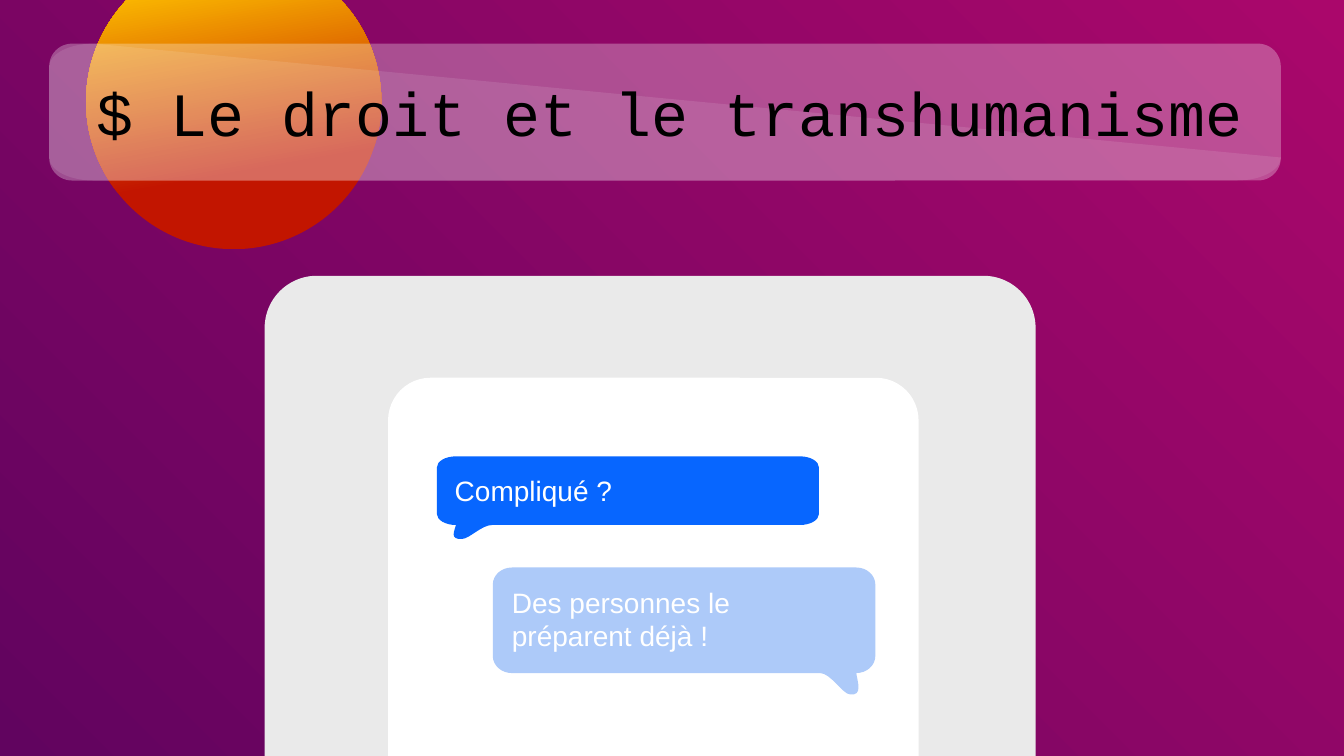
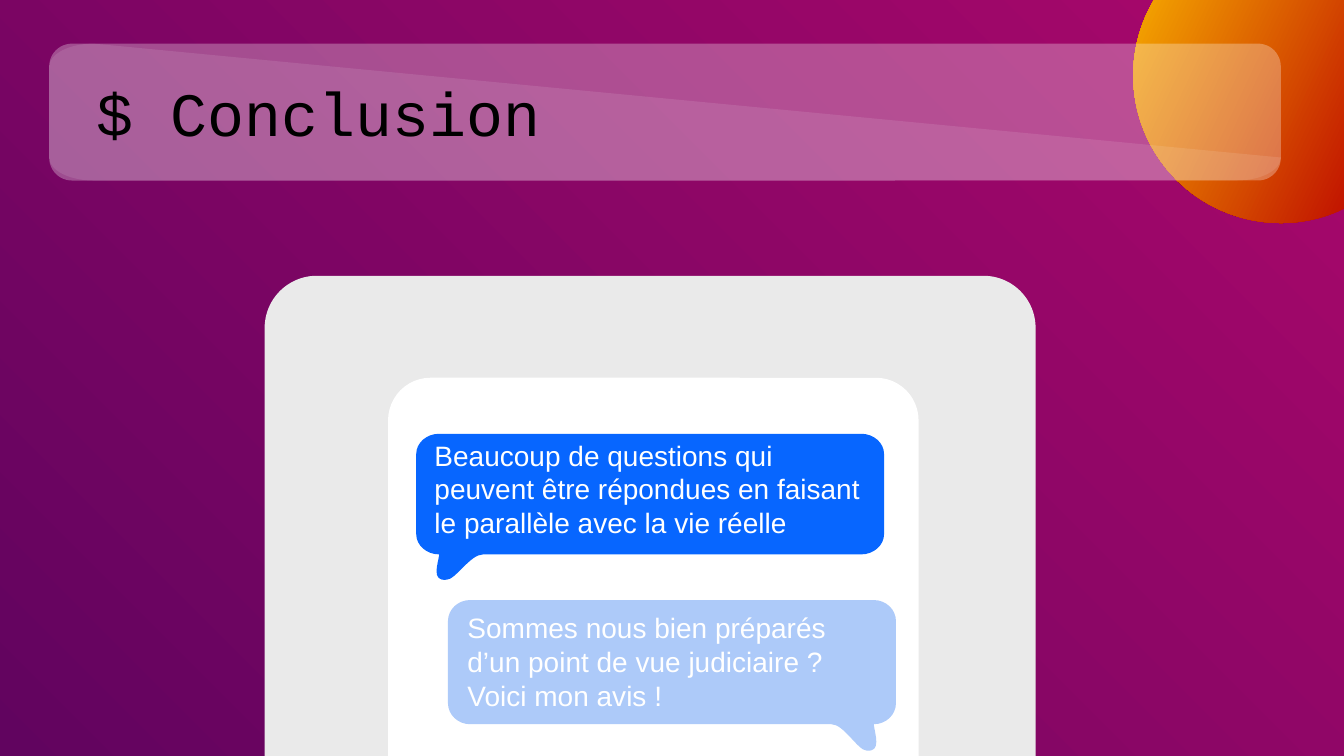
import dataclasses
import typing

import lxml.etree
import pptx
import pptx.dml.color
import pptx.dml.fill
import pptx.enum.shapes
import pptx.enum.text
import pptx.oxml.ns
import pptx.presentation
import pptx.shapes.autoshape
import pptx.slide
import pptx.util

Cm = pptx.util.Cm
RGBColor = pptx.dml.color.RGBColor
PresetShape = pptx.enum.shapes.MSO_SHAPE
qualified_name = pptx.oxml.ns.qn

PINK = RGBColor(0xAA, 0x07, 0x6B)
PURPLE = RGBColor(0x61, 0x04, 0x5F)
RED = RGBColor(0xC2, 0x15, 0x00)
YELLOW = RGBColor(0xFF, 0xC5, 0x00)
WHITE = RGBColor(0xFF, 0xFF, 0xFF)
BLACK = RGBColor(0x00, 0x00, 0x00)
GREY = RGBColor(0xEA, 0xEA, 0xEA)
BLUE = RGBColor(0x07, 0x66, 0xFF)
PALE_BLUE = RGBColor(0xAD, 0xCA, 0xF9)

CONTROL = 0.45

Point = tuple[float, float]
Segment = tuple[Point, ...]


class Box(typing.NamedTuple):
    left: float
    top: float
    width: float
    height: float

    def lengths(self) -> list[pptx.util.Length]:
        return [Cm(value) for value in self]


@dataclasses.dataclass(frozen=True)
class TextStyle:
    font: dict[str, typing.Any]
    color: RGBColor
    frame: dict[str, typing.Any]


@dataclasses.dataclass(frozen=True)
class Bubble:
    text: str
    body: Box
    text_box: Box
    corner: Point
    color: RGBColor
    tail_right: bool = False


@dataclasses.dataclass(frozen=True)
class ChatSlide:
    title: str
    sun: Box
    sun_rotation: float
    bubbles: tuple[Bubble, ...]


BANNER = Box(1.24, 1.1, 31.04, 3.45)
BANNER_CORNER = (1.12, 0.58)
TITLE_BOX = Box(2.19, 1.75, 30.1, 2.13)
PHONE = ((Box(6.67, 6.95, 19.43, 13.97), GREY), (Box(9.78, 9.52, 13.37, 11.4), WHITE))
PHONE_ROUNDING = 0.094

FRAME_FORMAT = {
    "word_wrap": True,
    "auto_size": pptx.enum.text.MSO_AUTO_SIZE.SHAPE_TO_FIT_TEXT,
}
TITLE_STYLE = TextStyle(
    {"name": "Courier New", "size": pptx.util.Pt(44)},
    BLACK,
    FRAME_FORMAT | {"vertical_anchor": pptx.enum.text.MSO_ANCHOR.MIDDLE},
)
BUBBLE_STYLE = TextStyle(
    {"name": "Arial", "size": pptx.util.Pt(20)}, WHITE, FRAME_FORMAT
)

SLIDES = (
    ChatSlide(
        "$ Le droit et le transhumanisme",
        Box(2.17, -1.16, 7.44, 7.44),
        0,
        (
            Bubble("Compliqué ?", Box(11.01, 11.5, 9.63, 1.73),
                   Box(11.21, 11.8, 9.2, 1.12), (0.48, 0.28), BLUE),
            Bubble("Des personnes le préparent déjà !", Box(12.42, 14.3, 9.64, 2.66),
                   Box(12.65, 14.62, 9.2, 1.96), (0.48, 0.43), PALE_BLUE, True),
        ),
    ),
    ChatSlide(
        "$ Conclusion",
        Box(28.56, -1.82, 7.44, 7.44),
        305.3,
        (
            Bubble("Beaucoup de questions qui peuvent être répondues en faisant "
                   "le parallèle avec la vie réelle", Box(10.49, 10.93, 11.79, 3.04),
                   Box(10.7, 10.92, 11.3, 2.82), (0.58, 0.51), BLUE),
            Bubble("Sommes nous bien préparés d’un point de vue judiciaire ? "
                   "Voici mon avis !", Box(11.29, 15.12, 11.29, 3.13),
                   Box(11.53, 15.27, 10.8, 3.61), (0.56, 0.53), PALE_BLUE, True),
        ),
    ),
)


def set_attributes(target: typing.Any, values: dict[str, typing.Any]) -> None:
    for name, value in values.items():
        setattr(target, name, value)


def fill_gradient(
    fill: pptx.dml.fill.FillFormat,
    stops: tuple[tuple[float, RGBColor], ...],
    clockwise_angle: float,
) -> None:
    fill.gradient()
    fill.gradient_angle = 360 - clockwise_angle
    for stop, (position, color) in zip(fill.gradient_stops, stops):
        stop.position = position
        stop.color.rgb = color


def remove_outline(shape: pptx.shapes.autoshape.Shape) -> None:
    shape.shadow.inherit = False
    shape.line.fill.background()


def paint(
    shape: pptx.shapes.autoshape.Shape, color: RGBColor, opacity: int = 100
) -> None:
    remove_outline(shape)
    shape.fill.solid()
    shape.fill.fore_color.rgb = color
    if opacity < 100:
        solid_color = shape.element.spPr.find(".//" + qualified_name("a:srgbClr"))
        alpha = lxml.etree.SubElement(solid_color, qualified_name("a:alpha"))
        alpha.set("val", str(opacity * 1000))


def add_text(shapes: typing.Any, box: Box, text: str, style: TextStyle) -> None:
    frame = shapes.add_textbox(*box.lengths()).text_frame
    set_attributes(frame, style.frame)
    run = frame.paragraphs[0].add_run()
    run.text = text
    set_attributes(run.font, style.font)
    run.font.color.rgb = style.color


def add_outline(
    shapes: typing.Any, start: Point, segments: list[Segment]
) -> pptx.shapes.autoshape.Shape:
    points = [start, *(point for segment in segments for point in segment)]
    vertices = [(int(Cm(x)), int(Cm(y))) for x, y in points]
    builder = shapes.build_freeform(*vertices[0])
    builder.add_line_segments(vertices[1:], close=True)
    shape = builder.convert_to_shape()
    lines = iter(shape.element.findall(".//" + qualified_name("a:lnTo")))
    for segment in segments:
        steps = [next(lines) for _ in segment]
        if len(steps) == 3:
            steps[0].tag = qualified_name("a:cubicBezTo")
            for step in steps[1:]:
                steps[0].append(step[0])
                step.getparent().remove(step)
    return shape


def round_corner(start: Point, corner: Point, end: Point) -> Segment:
    def toward(point: Point) -> Point:
        return tuple(c + (p - c) * CONTROL for c, p in zip(corner, point))

    return toward(start), toward(end), end


def add_banner(slide: pptx.slide.Slide, title: str) -> None:
    shapes = slide.shapes.add_group_shape().shapes
    panel = shapes.add_shape(PresetShape.ROUNDED_RECTANGLE, *BANNER.lengths())
    paint(panel, WHITE, 29)
    left, top, width, height = BANNER
    right, bottom = left + width, top + height
    rx, ry = BANNER_CORNER
    start = (right, bottom - ry)
    sheen = add_outline(
        shapes,
        start,
        [
            round_corner(start, (right, bottom), (right - rx, bottom)),
            ((left + rx, bottom),),
            round_corner((left + rx, bottom), (left, bottom), (left, bottom - ry)),
            ((left, top + ry),),
            round_corner((left, top + ry), (left, top), (left + rx, top)),
        ],
    )
    paint(sheen, WHITE, 10)
    add_text(slide.shapes, TITLE_BOX, title, TITLE_STYLE)


def add_bubble(slide: pptx.slide.Slide, bubble: Bubble) -> None:
    left, top, width, height = bubble.body
    rx, ry = bubble.corner

    def place(x: float, y: float) -> Point:
        return (left + width - x if bubble.tail_right else left + x), top + y

    def tail(x: float, y: float) -> Point:
        return place(x * rx, height + y * ry)

    def corner(start: Point, middle: Point, end: Point) -> Segment:
        return round_corner(place(*start), place(*middle), place(*end))

    shapes = slide.shapes.add_group_shape().shapes
    shape = add_outline(
        shapes,
        place(0, ry),
        [
            corner((0, ry), (0, 0), (rx, 0)),
            (place(width - rx, 0),),
            corner((width - rx, 0), (width, 0), (width, ry)),
            (place(width, height - ry),),
            corner((width, height - ry), (width, height), (width - rx, height)),
            (tail(2.9, 0),),
            (tail(2.35, 0), tail(1.7, 1.25), tail(1.33, 1.25)),
            (tail(0.63, 1.35), tail(0.95, 0.47), tail(1, 0)),
            corner((rx, height), (0, height), (0, height - ry)),
            (place(0, ry),),
        ],
    )
    paint(shape, bubble.color)
    add_text(shapes, bubble.text_box, bubble.text, BUBBLE_STYLE)


def add_chat_slide(
    presentation: pptx.presentation.Presentation, content: ChatSlide
) -> None:
    slide = presentation.slides.add_slide(presentation.slide_layouts[6])
    fill_gradient(slide.background.fill, ((0, PINK), (1, PURPLE)), 135)
    sun = slide.shapes.add_shape(PresetShape.OVAL, *content.sun.lengths())
    sun.rotation = content.sun_rotation
    remove_outline(sun)
    fill_gradient(sun.fill, ((0.29, RED), (0.91, YELLOW)), 260)
    add_banner(slide, content.title)
    for box, color in PHONE:
        panel = slide.shapes.add_shape(PresetShape.ROUNDED_RECTANGLE, *box.lengths())
        panel.adjustments[0] = PHONE_ROUNDING
        paint(panel, color)
    for bubble in content.bubbles:
        add_bubble(slide, bubble)


def main() -> None:
    presentation = pptx.Presentation()
    set_attributes(
        presentation, {"slide_width": Cm(33.87), "slide_height": Cm(19.05)}
    )
    for content in SLIDES:
        add_chat_slide(presentation, content)
    presentation.save("out.pptx")


if __name__ == "__main__":
    main()
